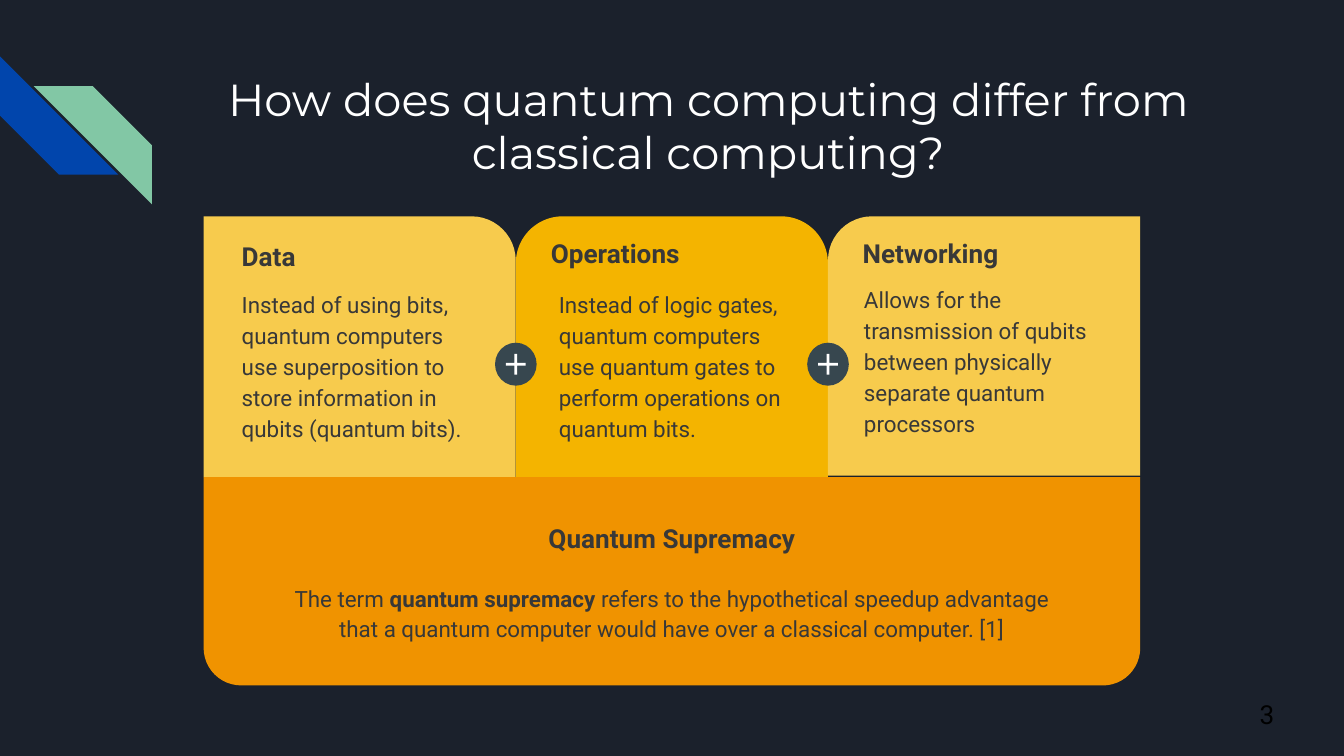
"""Build the slide that compares quantum with classical computing."""
import pptx
import pptx.dml.color
import pptx.enum.shapes
import pptx.enum.text
import pptx.util

SHAPE = pptx.enum.shapes.MSO_SHAPE
ALIGN = pptx.enum.text.PP_ALIGN
COLORS = {
    "night": "1B212C", "blue": "0145AC", "green": "82C7A5", "white": "FFFFFF",
    "yellow": "F7CB4D", "gold": "F4B400", "orange": "F09300",
    "slate": "37474F", "ink": "383838", "black": "000000",
}
FORMATS = {
    "title": {"name": "Montserrat", "size": pptx.util.Pt(24), "bold": False},
    "heading": {"name": "Roboto", "size": pptx.util.Pt(14), "bold": True},
    "body": {"name": "Roboto", "size": pptx.util.Pt(12), "bold": False},
    "number": {"name": "Roboto", "size": pptx.util.Pt(14), "bold": False},
}
PARAGRAPHS = {"body": {"line_spacing": 1.15, "space_after": pptx.util.Pt(16)}}
INSET = pptx.util.Inches(0.1)


class Deck:
    """Hold the style and the current slide, on a grid of 0.1 inch cells."""

    def __init__(self, cols, rows):
        """Start a presentation with one title-only slide."""
        self.prs = pptx.Presentation()
        self.prs.slide_width, self.prs.slide_height = self.cells(cols, rows)
        self.s = self.prs.slides.add_slide(self.prs.slide_layouts[5])
        self.paint(self.s.background.fill, "night")

    def cells(self, *counts):
        """Turn grid cells into lengths."""
        return [pptx.util.Inches(n / 10) for n in counts]

    def color(self, name):
        """Look up a colour by name."""
        return pptx.dml.color.RGBColor.from_string(COLORS[name])

    def paint(self, fill, name):
        """Make a fill solid."""
        fill.solid()
        fill.fore_color.rgb = self.color(name)

    def shape(self, kind, box, fill, adj=(), turn=0, flip=False):
        """Add a flat preset shape without outline."""
        sp = self.s.shapes.add_shape(kind, *self.cells(*box))
        sp.shadow.inherit = False
        sp.line.fill.background()
        self.paint(sp.fill, fill)
        for i, value in enumerate(adj):
            sp.adjustments[i] = value
        sp.rotation = turn
        if flip:
            sp._element.spPr.xfrm.set("flipH", "1")

    def fill_text(self, sp, runs, style, color, align):
        """Fill a text frame with one paragraph; odd runs are bold."""
        tf = sp.text_frame
        frame = {
            "word_wrap": True,
            "auto_size": pptx.enum.text.MSO_AUTO_SIZE.NONE,
            "vertical_anchor": pptx.enum.text.MSO_ANCHOR.TOP,
            "margin_left": INSET, "margin_right": INSET,
            "margin_top": INSET, "margin_bottom": INSET,
        }
        for key, value in frame.items():
            setattr(tf, key, value)
        p = tf.paragraphs[0]
        p.alignment = align
        for key, value in PARAGRAPHS.get(style, {}).items():
            setattr(p, key, value)
        for i, text in enumerate(runs):
            r = p.add_run()
            r.text = text
            for key, value in FORMATS[style].items():
                setattr(r.font, key, value)
            r.font.bold = r.font.bold or i % 2 == 1
            r.font.color.rgb = self.color(color)

    def title(self, box, text):
        """Move and format the title placeholder."""
        sp = self.s.shapes.title
        sp.left, sp.top, sp.width, sp.height = self.cells(*box)
        self.fill_text(sp, [text], "title", "white", ALIGN.CENTER)

    def text(self, box, runs, style, color="ink", align=ALIGN.LEFT):
        """Add a text box."""
        sp = self.s.shapes.add_textbox(*self.cells(*box))
        self.fill_text(sp, runs, style, color, align)

    def plus(self, x, y):
        """Add a round plus badge centred on a point."""
        self.shape(SHAPE.OVAL, (x - 1.55, y - 1.6, 3.1, 3.2), "slate")
        self.shape(SHAPE.MATH_PLUS, (x - 1, y - 1.05, 2, 2.1), "white", [0.1])


def main():
    """Lay out the slide and save it."""
    deck = Deck(100, 56.25)
    deck.shape(SHAPE.DIAGONAL_STRIPE, (0, 4.2, 8.8, 8.8), "blue", [0.5], turn=270)
    deck.shape(SHAPE.DIAGONAL_STRIPE, (2.5, 6.4, 8.8, 8.8), "green", [0.5], flip=True)
    deck.title((14.2, 4.3, 77, 10),
               "How does quantum computing differ from classical computing?")

    left, top, width = 15.15, 16.1, 23.23
    one, two = SHAPE.ROUND_1_RECTANGLE, SHAPE.ROUND_2_SAME_RECTANGLE
    cards = [
        (one, [0.17], False, "yellow", 19.4, "Data", (17, 16.9), (17, 20.4, 19.5),
         "Instead of using bits, quantum computers use superposition to store "
         "information in qubits (quantum bits)."),
        (two, [0.18, 0], False, "gold", 19.4, "Operations", (40, 16.7), (40.6, 20.4, 18.8),
         "Instead of logic gates, quantum computers use quantum gates to perform "
         "operations on quantum bits."),
        (one, [0.17], True, "yellow", 19.3, "Networking", (63.2, 16.7), (63.3, 20, 19.8),
         "Allows for the transmission of qubits between physically separate "
         "quantum processors"),
    ]
    for i, (kind, adj, flip, fill, height, head, spot, area, body) in enumerate(cards):
        deck.shape(kind, (left + i * width, top, width, height), fill, adj, flip=flip)
        deck.text((*spot, 18, 5.7), [head], "heading")
        deck.text((*area, 13.6), [body], "body")

    deck.shape(two, (left, 35.5, 3 * width, 15.5), "orange", [0.18, 0], turn=180)
    deck.text((26.2, 37.9, 47.6, 4.3), ["Quantum Supremacy"], "heading",
              align=ALIGN.CENTER)
    deck.text((20.55, 42.2, 58.9, 4.8),
              ["The term ", "quantum supremacy",
               " refers to the hypothetical speedup advantage that a quantum "
               "computer would have over a classical computer. [1]"],
              "body", align=ALIGN.CENTER)
    for i in (1, 2):
        deck.plus(left + i * width, 27.1)
    deck.text((89.8, 51, 6, 4.3), ["3"], "number", "black", ALIGN.RIGHT)
    deck.prs.save("out.pptx")


if __name__ == "__main__":
    main()
